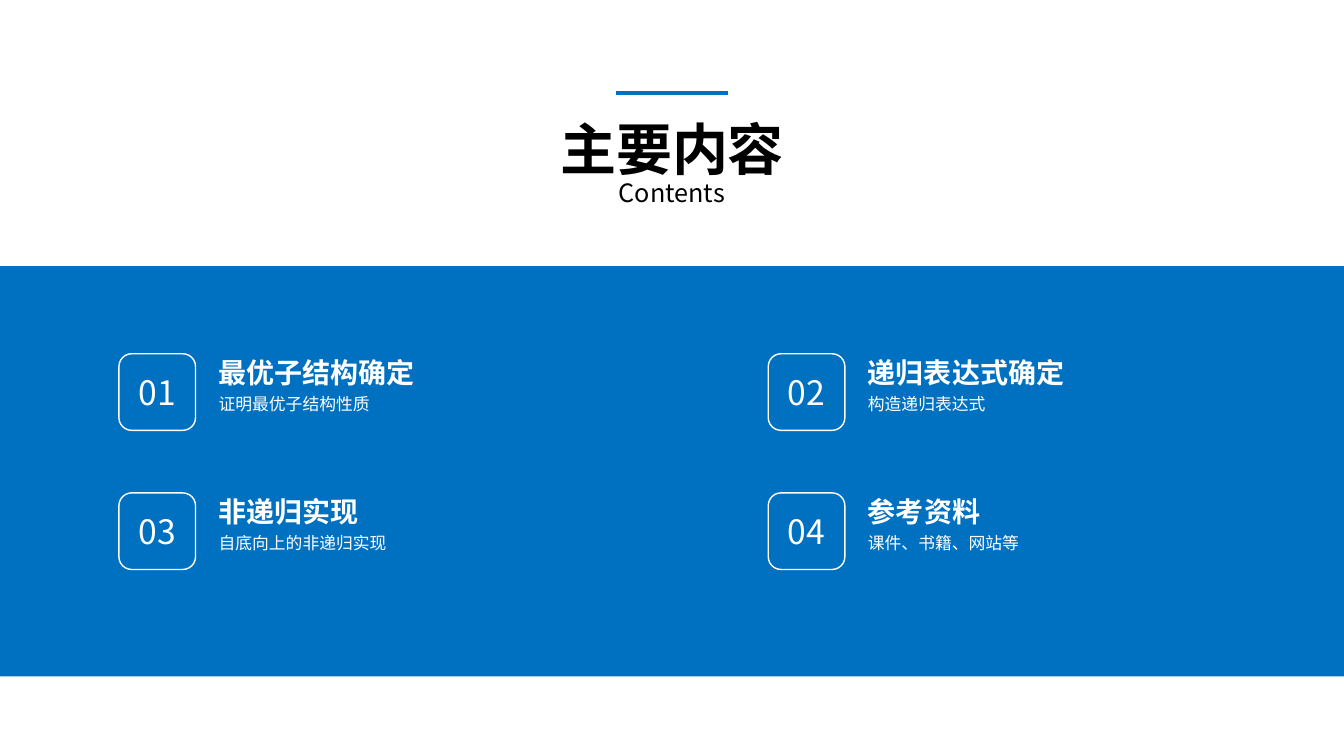
from lxml import etree
from pptx import Presentation
from pptx.dml.color import RGBColor
from pptx.enum import shapes, text
from pptx.oxml import ns
from pptx.util import Inches, Pt

BLUE = RGBColor(0x00, 0x70, 0xC0)
WHITE = RGBColor(0xFF, 0xFF, 0xFF)
BLACK = RGBColor(0x00, 0x00, 0x00)
SANS = "Noto Sans CJK SC"
LEFT, CENTER = text.PP_ALIGN.LEFT, text.PP_ALIGN.CENTER


def write(shape, words, size, color=WHITE, bold=False, align=LEFT,
          face=SANS, wrap=True):
    frame = shape.text_frame
    frame.word_wrap = wrap
    para = frame.paragraphs[0]
    para.alignment = align
    run = para.add_run()
    run.text = words
    font = run.font
    font.size, font.bold, font.name = Pt(size), bold, face
    font.color.rgb = color
    east = etree.SubElement(run._r.get_or_add_rPr(), ns.qn("a:ea"))
    east.set("typeface", SANS)


def add_label(parent, left, top, width, height, words, size, **style):
    box = parent.add_textbox(Inches(left), Inches(top),
                             Inches(width), Inches(height))
    write(box, words, size, **style)
    box.text_frame.auto_size = text.MSO_AUTO_SIZE.SHAPE_TO_FIT_TEXT


deck = Presentation()
deck.slide_width, deck.slide_height = Inches(13.33), Inches(7.5)
slide = deck.slides.add_slide(deck.slide_layouts[6])
items = slide.shapes

# Blue band
band = items.add_shape(shapes.MSO_SHAPE.RECTANGLE, 0, Inches(2.64),
                       deck.slide_width, Inches(4.07))
band.shadow.inherit = False
band.fill.solid()
band.fill.fore_color.rgb = BLUE
band.line.fill.background()

# Heading
add_label(items, 5.44, 1.09, 2.45, 0.77, "主要内容", 40, color=BLACK,
          bold=True, align=CENTER, face="Calibri", wrap=False)
rule = items.add_connector(shapes.MSO_CONNECTOR.STRAIGHT, Inches(6.11),
                           Inches(0.92), Inches(7.22), Inches(0.92))
rule.line.color.rgb = BLUE
rule.line.width = Pt(3)
etree.SubElement(rule._element.spPr, ns.qn("a:effectLst"))
add_label(items, 3.63, 1.71, 6.07, 0.4, "Contents", 18, color=BLACK,
          align=CENTER)

# Two by two grid of topics
topics = [
    ("最优子结构确定", "证明最优子结构性质", 2.17),
    ("递归表达式确定", "构造递归表达式", 2.17),
    ("非递归实现", "自底向上的非递归实现", 1.6),
    ("参考资料", "课件、书籍、网站等", 1.32),
]
for i, (title, detail, width) in enumerate(topics):
    row, col = divmod(i, 2)
    left = 1.18 + 6.44 * col
    top = 3.51 + 1.38 * row
    group = items.add_group_shape().shapes
    badge = group.add_shape(shapes.MSO_SHAPE.ROUNDED_RECTANGLE, Inches(left),
                            Inches(top), Inches(0.76), Inches(0.76))
    badge.shadow.inherit = False
    badge.fill.background()
    badge.line.color.rgb = WHITE
    badge.line.width = Pt(1)
    badge.text_frame.vertical_anchor = text.MSO_ANCHOR.MIDDLE
    write(badge, f"{i + 1:02}", 24, align=CENTER)
    add_label(group, left + 0.89, top - 0.03, width, 0.44, title, 20,
              bold=True, wrap=False)
    add_label(group, left + 0.89, top + 0.35, 3.76, 0.3, detail, 12)

deck.save("out.pptx")
